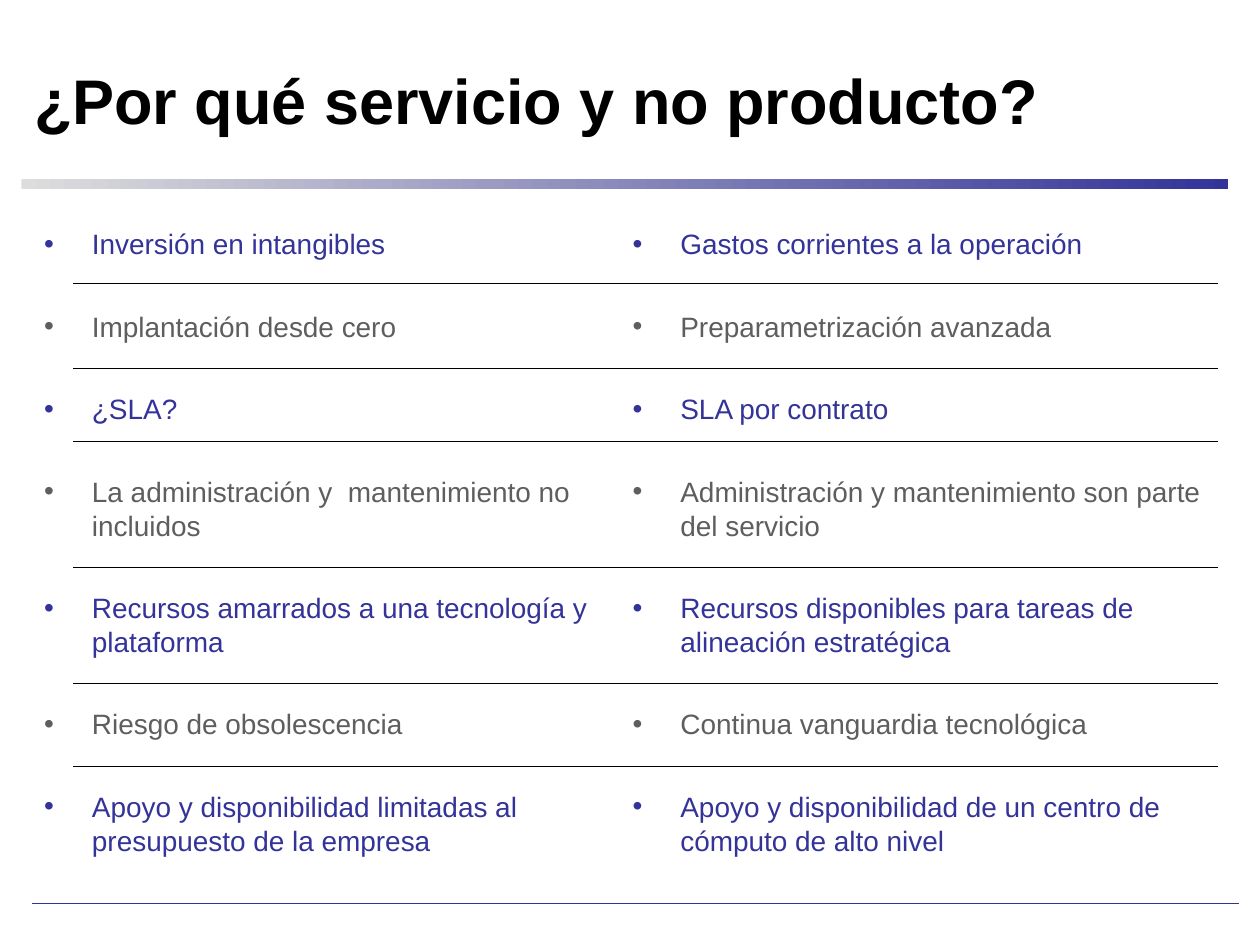
import pptx
import pptx.dml.color
import pptx.enum.shapes
import pptx.enum.text
import pptx.util
from lxml import etree
from pptx.oxml.ns import qn
from pptx.util import Inches

COLORS = {"blue": "333399", "gray": "5E5E5E", "light": "DDDDDD", "black": "000000"}


def rgb(name):
    return pptx.dml.color.RGBColor.from_string(COLORS[name])


def add_text(tf, text, size=16, color="black", bold=False, before=0, bullet=False):
    """Write text in the empty first paragraph, or in a new one after it."""
    p = tf.paragraphs[0]
    if p.runs:
        p = tf.add_paragraph()
    p.alignment = pptx.enum.text.PP_ALIGN.LEFT
    p.space_before = pptx.util.Pt(before)
    if bullet:
        pPr = p._p.get_or_add_pPr()
        pPr.set("marL", str(Inches(0.38)))
        pPr.set("indent", str(Inches(-0.38)))
        etree.SubElement(pPr, qn("a:buFont")).set("typeface", "Arial")
        etree.SubElement(pPr, qn("a:buChar")).set("char", "•")
    r = p.add_run()
    r.text = text
    r.font.name = "Arial"
    r.font.size = pptx.util.Pt(size)
    r.font.bold = bold
    r.font.color.rgb = rgb(color)


prs = pptx.Presentation()
prs.slide_width, prs.slide_height = Inches(10), Inches(7.5)
s = prs.slides.add_slide(prs.slide_layouts.get_by_name("Two Content"))
title, left, right = s.placeholders

# Title and the bar under it
title.left, title.top = Inches(0.17), Inches(0.25)
title.width, title.height = Inches(8.5), Inches(1.08)
tf = title.text_frame
tf.auto_size = pptx.enum.text.MSO_AUTO_SIZE.NONE
tf.vertical_anchor = pptx.enum.text.MSO_ANCHOR.MIDDLE
add_text(tf, "¿Por qué servicio y no producto?", size=36, bold=True)

bar = s.shapes.add_shape(pptx.enum.shapes.MSO_SHAPE.RECTANGLE,
                         Inches(0.17), Inches(1.42), Inches(9.58), Inches(0.08))
bar.shadow.inherit = False
bar.line.fill.background()
bar.fill.gradient()
bar.fill.gradient_angle = 0
for stop, color in zip(bar.fill.gradient_stops, ("light", "blue")):
    stop.color.rgb = rgb(color)

# Two columns compared point by point, in alternating colours
columns = [
    (left, 0.25, 4.75, 5.25, [
        "Inversión en intangibles",
        "Implantación desde cero",
        "¿SLA?",
        "La administración y  mantenimiento no incluidos",
        "Recursos amarrados a una tecnología y plataforma",
        "Riesgo de obsolescencia",
        "Apoyo y disponibilidad limitadas al presupuesto de la empresa",
    ]),
    (right, 4.92, 4.92, 5.17, [
        "Gastos corrientes a la operación",
        "Preparametrización avanzada",
        "SLA por contrato",
        "Administración y mantenimiento son parte del servicio",
        "Recursos disponibles para tareas de alineación estratégica",
        "Continua vanguardia tecnológica",
        "Apoyo y disponibilidad de un centro de cómputo de alto nivel",
    ]),
]
for sp, x, width, height, items in columns:
    sp.left, sp.top = Inches(x), Inches(1.75)
    sp.width, sp.height = Inches(width), Inches(height)
    tf = sp.text_frame
    tf.auto_size = pptx.enum.text.MSO_AUTO_SIZE.NONE
    for i, item in enumerate(items):
        add_text(tf, item, color=("blue", "gray")[i % 2],
                 before=28 if i else 0, bullet=True)

# Row separators and the footer line
rules = [(0.58, 9.67, y, "black", 0.25) for y in (2.25, 2.92, 3.5, 4.5, 5.42, 6.08)]
rules.append((0.25, 9.83, 7.17, "blue", 0.75))
for x1, x2, y, color, weight in rules:
    line = s.shapes.add_connector(pptx.enum.shapes.MSO_CONNECTOR.STRAIGHT,
                                  Inches(x1), Inches(y), Inches(x2), Inches(y))
    line.line.color.rgb = rgb(color)
    line.line.width = pptx.util.Pt(weight)
    etree.SubElement(line._element.spPr, qn("a:effectLst"))

prs.save("out.pptx")
